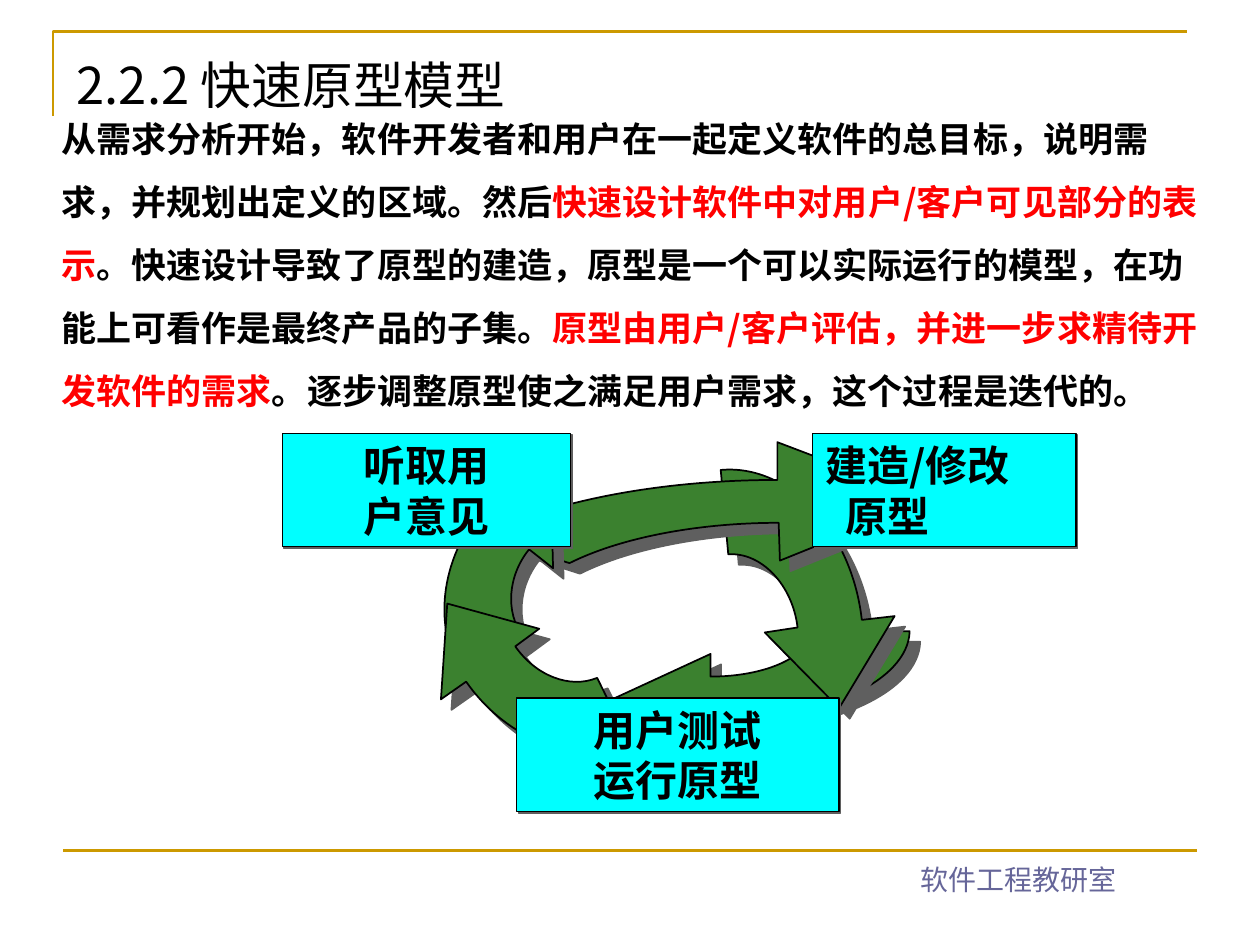
from lxml.etree import SubElement
from pptx import Presentation
from pptx.dml.color import RGBColor
from pptx.enum.shapes import MSO_CONNECTOR, MSO_SHAPE
from pptx.enum.text import MSO_ANCHOR, PP_ALIGN
from pptx.oxml.ns import qn
from pptx.util import Pt

PX = 9144  # 100 px to the inch
SANS = "Noto Sans CJK SC"
SERIF = "Times New Roman"
BLACK = RGBColor(0, 0, 0)
RED = RGBColor(0xFF, 0, 0)
GOLD = RGBColor(0xCC, 0x99, 0x00)
SLATE = RGBColor(0x66, 0x66, 0x99)
GREEN = RGBColor(0x3B, 0x81, 0x2F)
CYAN = RGBColor(0, 0xFF, 0xFF)
GREY = RGBColor(0x5F, 0x5F, 0x5F)

TITLE = {"size": Pt(29), "name": SANS}
BODY = {"size": Pt(20), "name": SANS, "bold": True}
LABEL = {"size": Pt(24), "name": SANS, "bold": True}
FOOT = {"size": Pt(16), "name": SERIF}

STORY = [
    ("从需求分析开始，软件开发者和用户在一起定义软件的总目标，说明需求，并规划出定义的区域。然后", BLACK),
    ("快速设计软件中对用户/客户可见部分的表示", RED),
    ("。快速设计导致了原型的建造，原型是一个可以实际运行的模型，在功能上可看作是最终产品的子集。", BLACK),
    ("原型由用户/客户评估，并进一步求精待开发软件的需求", RED),
    ("。逐步调整原型使之满足用户需求，这个过程是迭代的。", BLACK),
]

# Each outline is a start point, then lines (2 numbers) and curves (6 numbers).
TEST_TAIL = [(564, 537), (608, 537, 643, 521, 643, 501), (722, 501),
             (721, 541, 651, 573, 564, 573), (564, 592), (486, 555), (564, 519)]
TO_TEST = [(633, 498), (629, 464, 604, 438, 578, 440), (572, 373),
           (626, 368, 676, 421, 684, 492), (710, 489), (666, 562), (607, 502)]
TO_BUILD = [(618, 415), (553, 415, 492, 427, 452, 447), (383, 425),
            (440, 397, 526, 381, 617, 381), (617, 351), (738, 397), (619, 445)]
TO_HEAR = [(420, 436), (403, 457, 401, 486, 415, 505), (372, 543),
           (343, 505, 347, 448, 382, 405), (363, 389), (437, 375), (439, 451)]
FROM_TEST = [(409, 513), (425, 536, 452, 547, 474, 538), (500, 591),
             (457, 608, 402, 587, 370, 541), (350, 555), (355, 479), (428, 499)]


def paint(shape, fill, line, width):
    shape.shadow.inherit = False
    if fill is None:
        shape.fill.background()
    else:
        shape.fill.solid()
        shape.fill.fore_color.rgb = fill
    shape.line.color.rgb = line
    shape.line.width = Pt(width)


def shade(shape, gap):
    """Add a solid shadow, gap points away to the lower right."""
    effects = shape._element.spPr.find(qn("a:effectLst"))
    cast = SubElement(effects, qn("a:outerShdw"), dist=str(Pt(gap)),
                      dir="2700000", algn="ctr", rotWithShape="0")
    SubElement(cast, qn("a:srgbClr"), val=str(GREY))


def bend(shape, path):
    """Turn the straight sides that stand for curves into cubic curves."""
    sides = list(shape._element.iter(qn("a:lnTo")))
    for side, step in zip(sides, path[1:]):
        if len(step) == 2:
            continue
        side.tag = qn("a:cubicBezTo")
        side.remove(side[0])
        for x, y in zip(step[::2], step[1::2]):
            SubElement(side, qn("a:pt"), x=str(x * PX - shape.left),
                       y=str(y * PX - shape.top))


def outline(slide, path, fill, line, width, close=True):
    spots = [(step[-2] * PX, step[-1] * PX) for step in path]
    pen = slide.shapes.build_freeform(*spots[0], scale=1.0)
    pen.add_line_segments(spots[1:], close=close)
    shape = pen.convert_to_shape()
    bend(shape, path)
    paint(shape, fill, line, width)
    return shape


def arrow(slide, path):
    shade(outline(slide, path, GREEN, BLACK, 1), 8.5)


def rule(slide, x1, y1, x2, y2):
    line = slide.shapes.add_connector(
        MSO_CONNECTOR.STRAIGHT, x1 * PX, y1 * PX, x2 * PX, y2 * PX)
    line.line.color.rgb = GOLD
    line.line.width = Pt(1.5)
    SubElement(line._element.spPr, qn("a:effectLst"))


def style(item, look):
    for key, value in look.items():
        setattr(item, key, value)


def write(para, words, look, color):
    run = para.add_run()
    run.text = words
    style(run.font, look)
    run.font.color.rgb = color
    SubElement(run._r.get_or_add_rPr(), qn("a:ea"), typeface=SANS)


def text(slide, box, parts, look, anchor=MSO_ANCHOR.TOP, **form):
    """Add a one-paragraph text box made of (words, colour) parts."""
    shape = slide.shapes.add_textbox(*(n * PX for n in box))
    style(shape.text_frame, {"word_wrap": True, "vertical_anchor": anchor})
    para = shape.text_frame.paragraphs[0]
    style(para, form)
    para._p.get_or_add_pPr().set("hangingPunct", "0")
    for words, color in parts:
        write(para, words, look, color)


def label(slide, box, rows, align=PP_ALIGN.CENTER, shift=0):
    """Add a cyan box; shift indents the rows after the first."""
    shape = slide.shapes.add_shape(MSO_SHAPE.RECTANGLE, *(n * PX for n in box))
    paint(shape, CYAN, BLACK, 0.75)
    shade(shape, 1.4)
    frame = shape.text_frame
    style(frame, {"word_wrap": True, "vertical_anchor": MSO_ANCHOR.TOP})
    for i, words in enumerate(rows):
        para = frame.add_paragraph() if i else frame.paragraphs[0]
        para.alignment = align
        if i and shift:
            para._p.get_or_add_pPr().set("marL", str(shift * PX))
        write(para, words, LABEL, BLACK)


def main():
    deck = Presentation()
    style(deck, {"slide_width": 1000 * PX, "slide_height": 750 * PX})
    slide = deck.slides.add_slide(deck.slide_layouts[6])

    outline(slide, [(42, 92), (42, 25), (942, 25)], None, GOLD, 1.5, close=False)
    rule(slide, 50, 675, 950, 675)
    text(slide, (650, 666, 317, 50), [("软件工程教研室", SLATE)], FOOT,
         MSO_ANCHOR.BOTTOM, alignment=PP_ALIGN.CENTER)
    text(slide, (51, 43, 898, 48), [("2.2.2 快速原型模型", BLACK)], TITLE,
         MSO_ANCHOR.MIDDLE)
    text(slide, (39, 72, 922, 310), STORY, BODY, line_spacing=1.5)

    for path in (TEST_TAIL, TO_TEST, TO_BUILD):
        arrow(slide, path)
    label(slide, (645, 344, 209, 90), ["建造/修改", "原型"], PP_ALIGN.LEFT, 16)
    for path in (TO_HEAR, FROM_TEST):
        arrow(slide, path)
    label(slide, (410, 554, 256, 90), ["用户测试", "运行原型"])
    label(slide, (224, 344, 229, 90), ["听取用", "户意见"])

    deck.save("out.pptx")


if __name__ == "__main__":
    main()
